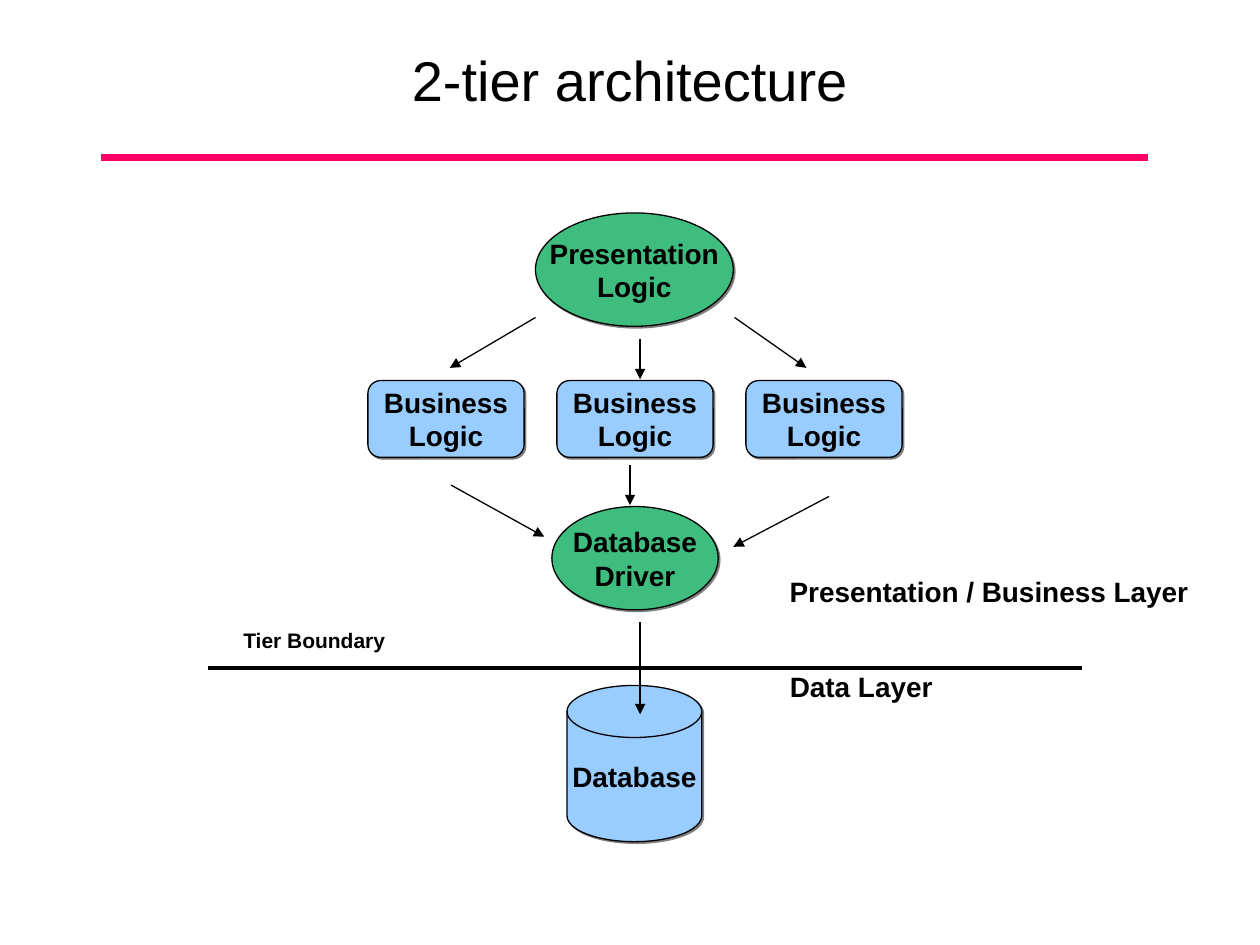
import pptx
import pptx.dml.color
import pptx.enum.shapes
import pptx.enum.text
import pptx.oxml
import pptx.oxml.ns
import pptx.util
from pptx.dml.color import RGBColor
from pptx.enum.shapes import MSO_SHAPE
from pptx.util import Inches

BLACK = RGBColor(0x00, 0x00, 0x00)
PINK = RGBColor(0xFF, 0x00, 0x66)
GREEN = RGBColor(0x3F, 0xBD, 0x7E)
BLUE = RGBColor(0x99, 0xCC, 0xFF)

FONT = "Arial"
BUSINESS_LEFT = 2.92
BUSINESS_STEP = 1.5

ARROWS = [
    ((4.25, 2.52), (3.57, 2.92)),
    ((5.08, 2.69), (5.08, 3.01)),
    ((5.83, 2.52), (6.4, 2.92)),
    ((3.58, 3.85), (4.32, 4.26)),
    ((5, 3.69), (5, 4.01)),
    ((6.58, 3.94), (5.82, 4.34)),
    ((5.08, 4.94), (5.08, 5.67)),
]


def write_text(shape, lines, size, bold=True, wrap=False):
    frame = shape.text_frame
    frame.word_wrap = wrap
    frame.vertical_anchor = pptx.enum.text.MSO_ANCHOR.MIDDLE
    paragraph = frame.paragraphs[0]
    paragraph.alignment = pptx.enum.text.PP_ALIGN.CENTER
    for index, line in enumerate(lines):
        if index:
            paragraph.add_line_break()
        run = paragraph.add_run()
        run.text = line
        run.font.name = FONT
        run.font.size = pptx.util.Pt(size)
        run.font.bold = bold
        run.font.color.rgb = BLACK


def add_title(slide, text):
    title = slide.shapes.title
    title.left, title.top = Inches(0.75), Inches(0.25)
    title.width, title.height = Inches(8.5), Inches(0.75)
    write_text(title, [text], 32, bold=False, wrap=True)


def add_shadow(shape):
    shape.shadow.inherit = False
    effects = shape._element.spPr.find(pptx.oxml.ns.qn("a:effectLst"))
    effects.append(pptx.oxml.parse_xml(
        f'<a:outerShdw {pptx.oxml.ns.nsdecls("a")} blurRad="0" dist="17780" '
        'dir="2700000" algn="ctr" rotWithShape="0">'
        '<a:srgbClr val="808080"/></a:outerShdw>'))


def add_node(slide, kind, left, top, width, height, fill, lines):
    shape = slide.shapes.add_shape(
        kind, Inches(left), Inches(top), Inches(width), Inches(height))
    shape.fill.solid()
    shape.fill.fore_color.rgb = fill
    shape.line.color.rgb = BLACK
    shape.line.width = pptx.util.Pt(0.75)
    add_shadow(shape)
    write_text(shape, lines, 16)


def add_label(slide, left, top, width, height, text, size):
    label = slide.shapes.add_textbox(
        Inches(left), Inches(top), Inches(width), Inches(height))
    write_text(label, [text], size)
    label.text_frame.auto_size = pptx.enum.text.MSO_AUTO_SIZE.NONE


def add_line(slide, start, end, color, width):
    line = slide.shapes.add_connector(
        pptx.enum.shapes.MSO_CONNECTOR.STRAIGHT,
        *(Inches(value) for value in (*start, *end)))
    line.line.color.rgb = color
    line.line.width = pptx.util.Pt(width)
    line._element.spPr.append(
        pptx.oxml.parse_xml(f'<a:effectLst {pptx.oxml.ns.nsdecls("a")}/>'))
    return line


def add_rule(slide, start, end, color, width):
    rule = add_line(slide, start, end, color, width)
    rule.line._get_or_add_ln().set("cap", "sq")


def add_arrow(slide, start, end):
    arrow = add_line(slide, start, end, BLACK, 0.75)
    arrow.line._get_or_add_ln().append(pptx.oxml.parse_xml(
        f'<a:tailEnd {pptx.oxml.ns.nsdecls("a")} type="triangle"/>'))


def main():
    presentation = pptx.Presentation()
    presentation.slide_width = Inches(10)
    presentation.slide_height = Inches(7.5)
    slide = presentation.slides.add_slide(presentation.slide_layouts[5])

    add_rule(slide, (0.83, 1.25), (9.08, 1.25), PINK, 4.5)
    add_title(slide, "2-tier architecture")

    add_node(slide, MSO_SHAPE.OVAL, 4.38, 4.02, 1.32, 0.82, GREEN,
             ["Database", "Driver"])
    add_node(slide, MSO_SHAPE.FLOWCHART_MAGNETIC_DISK, 4.5, 5.44, 1.07, 1.24,
             BLUE, ["Database"])
    add_rule(slide, (1.67, 5.3), (8.57, 5.3), BLACK, 2.25)
    add_label(slide, 1.83, 4.93, 1.33, 0.3, "Tier Boundary", 12)
    for column in range(3):
        add_node(slide, MSO_SHAPE.ROUNDED_RECTANGLE,
                 BUSINESS_LEFT + column * BUSINESS_STEP, 3.02, 1.24, 0.61,
                 BLUE, ["Business", "Logic"])
    add_node(slide, MSO_SHAPE.OVAL, 4.25, 1.69, 1.57, 0.9, GREEN,
             ["Presentation", "Logic"])

    for start, end in ARROWS:
        add_arrow(slide, start, end)

    add_label(slide, 6.15, 5.26, 1.37, 0.37, "Data Layer", 16)
    add_label(slide, 6.15, 4.51, 3.4, 0.37, "Presentation / Business Layer", 16)

    presentation.save("out.pptx")


if __name__ == "__main__":
    main()
